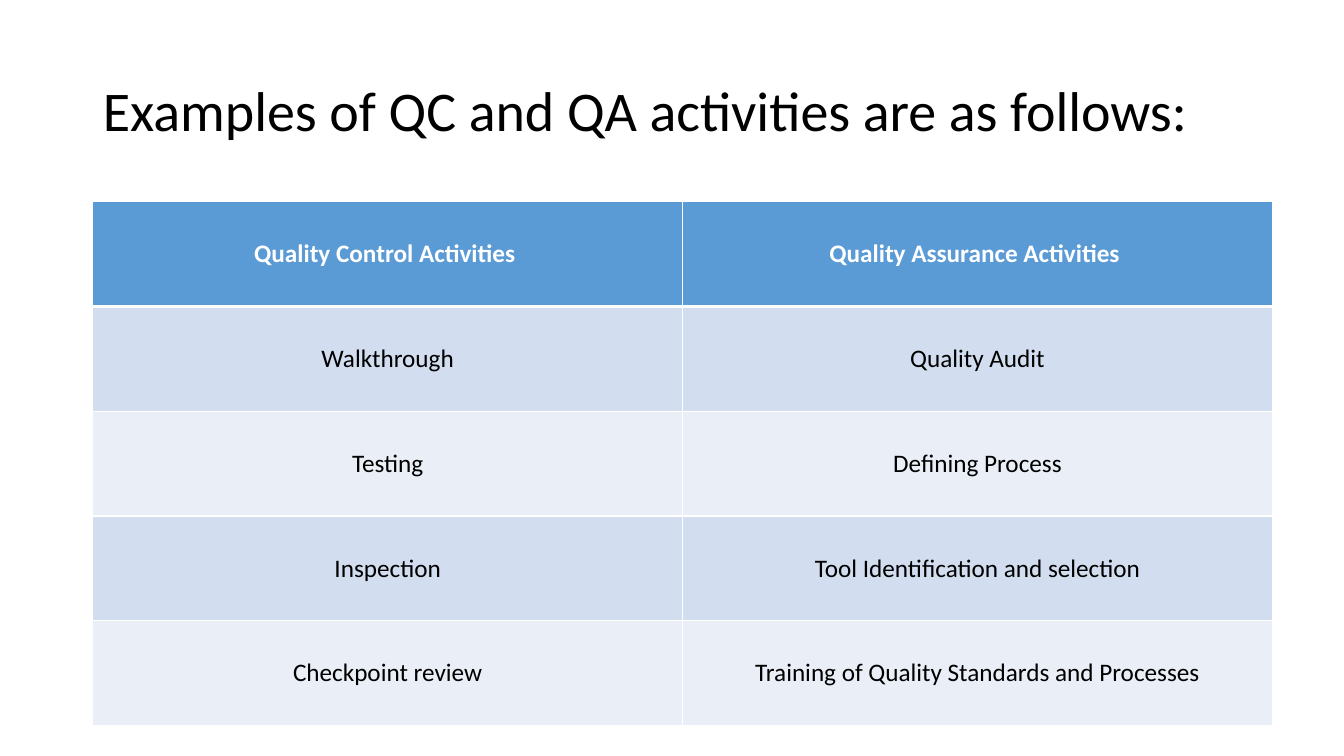
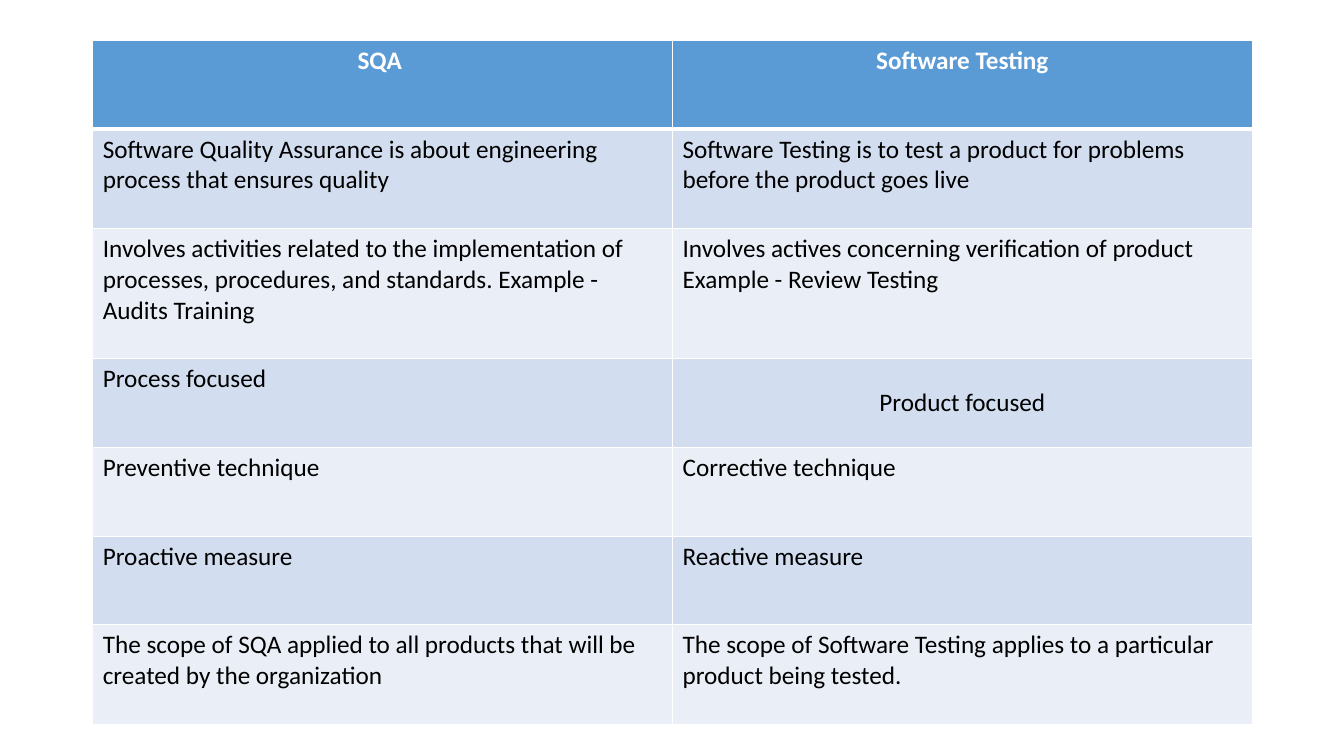
from dataclasses import dataclass

from lxml import etree
from pptx import Presentation
from pptx import util as u
from pptx.dml.color import RGBColor
from pptx.enum import text
from pptx.oxml.ns import qn

COLORS = {
    "header": "5B9BD5",
    "band_dark": "D2DEEF",
    "band_light": "EAEFF7",
    "white": "FFFFFF",
    "black": "000000",
}
FONT = "Calibri"
LEFT = 0.92
TITLE_ONLY, BLANK = 5, 6
CENTER, START = text.PP_ALIGN.CENTER, text.PP_ALIGN.LEFT
MIDDLE, TOP = text.MSO_ANCHOR.MIDDLE, text.MSO_ANCHOR.TOP


@dataclass(frozen=True)
class Comparison:
    """A two-column table with a header row and banded body rows."""
    top: float
    column_width: float
    row_heights: list[float]
    rows: list[tuple[str, str]]
    alignment: text.PP_ALIGN
    anchor: text.MSO_ANCHOR
    inset_free_cells: tuple[tuple[int, int], ...] = ()


# Shared styling
def add_run(paragraph, words: str, size: float, color: str, bold: bool = False) -> None:
    run = paragraph.add_run()
    run.text = words
    run.font.name = FONT
    run.font.size = u.Pt(size)
    run.font.bold = bold
    run.font.color.rgb = RGBColor.from_string(COLORS[color])


def set_borders(cell, top: float, bottom: float) -> None:
    """Draw white cell borders; widths are in points."""
    properties = cell._tc.get_or_add_tcPr()
    widths = {"a:lnL": 1, "a:lnR": 1, "a:lnT": top, "a:lnB": bottom}
    for index, (tag, width) in enumerate(widths.items()):
        line = etree.Element(qn(tag), w=str(u.Pt(width)))
        fill = etree.SubElement(line, qn("a:solidFill"))
        etree.SubElement(fill, qn("a:srgbClr"), val=COLORS["white"])
        properties.insert(index, line)


def add_title(slide, words: str) -> None:
    title = slide.shapes.title
    title.left, title.top = u.Inches(LEFT), u.Inches(0.4)
    title.width, title.height = u.Inches(11.5), u.Inches(1.45)
    frame = title.text_frame
    frame.word_wrap = True
    frame.auto_size = text.MSO_AUTO_SIZE.NONE
    frame.vertical_anchor = MIDDLE
    paragraph = frame.paragraphs[0]
    paragraph.alignment = START
    paragraph.line_spacing = 0.9
    add_run(paragraph, words, 40, "black")


def add_comparison(slide, comparison: Comparison) -> None:
    table = slide.shapes.add_table(
        len(comparison.rows), 2, u.Inches(LEFT), u.Inches(comparison.top),
        u.Inches(2 * comparison.column_width), u.Inches(sum(comparison.row_heights)),
    ).table
    for column in table.columns:
        column.width = u.Inches(comparison.column_width)
    for row, height in zip(table.rows, comparison.row_heights):
        row.height = u.Inches(height)

    for row_index, row_words in enumerate(comparison.rows):
        is_header = row_index == 0
        band = "header" if is_header else ("band_light", "band_dark")[row_index % 2]
        for column_index, words in enumerate(row_words):
            cell = table.cell(row_index, column_index)
            cell.fill.solid()
            cell.fill.fore_color.rgb = RGBColor.from_string(COLORS[band])
            set_borders(cell, 3 if row_index == 1 else 1, 3 if is_header else 1)
            cell.vertical_anchor = comparison.anchor
            paragraph = cell.text_frame.paragraphs[0]
            paragraph.alignment = CENTER if is_header else comparison.alignment
            if (row_index, column_index) in comparison.inset_free_cells:
                cell.margin_left = cell.margin_right = u.Inches(0)
                cell.margin_top = cell.margin_bottom = u.Inches(0)
                cell.vertical_anchor = MIDDLE
                paragraph.alignment = CENTER
            add_run(paragraph, words, 18, "white" if is_header else "black", is_header)


# Content
ACTIVITIES = Comparison(
    top=2, column_width=5.85, row_heights=[1.04] * 5,
    alignment=CENTER, anchor=MIDDLE,
    rows=[
        ("Quality Control Activities ", "Quality Assurance Activities "),
        ("Walkthrough", "Quality Audit"),
        ("Testing", "Defining Process"),
        ("Inspection", "Tool Identification and selection"),
        ("Checkpoint review", "Training of Quality Standards and Processes"),
    ],
)
SQA_AND_TESTING = Comparison(
    top=0.4, column_width=5.75,
    row_heights=[0.88, 0.99, 1.29, 0.88, 0.88, 0.88, 0.99],
    alignment=START, anchor=TOP, inset_free_cells=((3, 1),),
    rows=[
        ("SQA ", "Software Testing"),
        ("Software Quality Assurance is about engineering process that ensures quality",
         "Software Testing is to test a product for problems before the product goes live"),
        ("Involves activities related to the implementation of processes, procedures, "
         "and standards. Example - Audits Training \u00a0",
         "Involves actives concerning verification of product Example - Review Testing"),
        ("Process focused", "Product focused"),
        ("Preventive technique", "Corrective technique"),
        ("Proactive measure", "Reactive measure"),
        ("The scope of SQA applied to all products that will be created by the organization",
         "The scope of Software Testing applies to a particular product being tested."),
    ],
)

presentation = Presentation()
presentation.slide_width = u.Inches(13.33)
presentation.slide_height = u.Inches(7.5)

# Slide 1: QC and QA activities
activities_slide = presentation.slides.add_slide(presentation.slide_layouts[TITLE_ONLY])
add_title(activities_slide, "Examples of QC and QA activities are as follows:")
add_comparison(activities_slide, ACTIVITIES)

# Slide 2: SQA compared with software testing
testing_slide = presentation.slides.add_slide(presentation.slide_layouts[BLANK])
add_comparison(testing_slide, SQA_AND_TESTING)

presentation.save("out.pptx")
